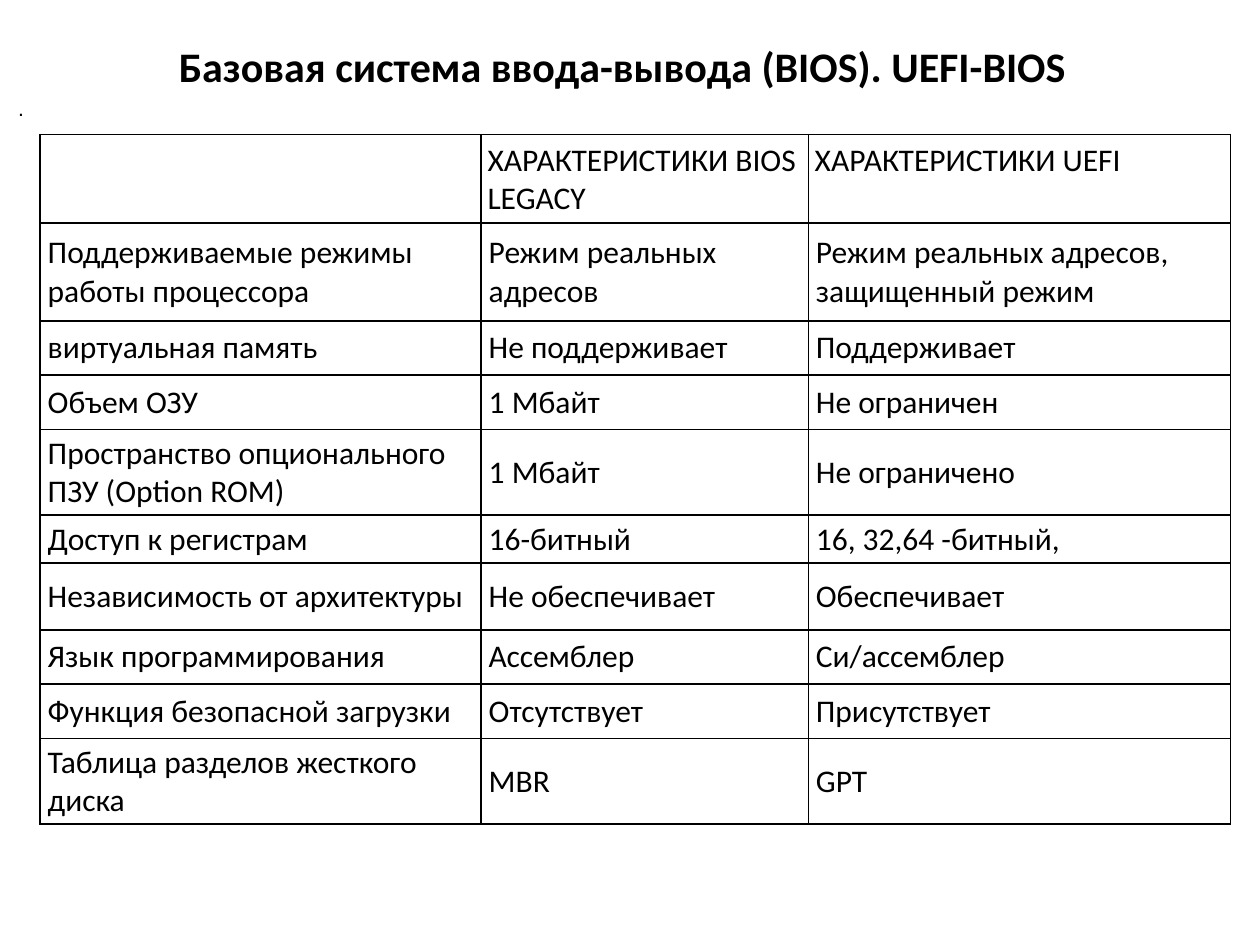
from lxml import etree
from pptx import Presentation
from pptx.dml.color import RGBColor
from pptx.enum.shapes import MSO_SHAPE
from pptx.enum.text import MSO_ANCHOR, MSO_AUTO_SIZE, PP_ALIGN
from pptx.oxml.ns import qn
from pptx.util import Pt

RECTANGLE = MSO_SHAPE.RECTANGLE
TOP, MIDDLE = MSO_ANCHOR.TOP, MSO_ANCHOR.MIDDLE
CENTER, JUSTIFY, LEFT = PP_ALIGN.CENTER, PP_ALIGN.JUSTIFY, PP_ALIGN.LEFT
GROW = MSO_AUTO_SIZE.SHAPE_TO_FIT_TEXT


def color(value):
    return RGBColor.from_string(value)


class SlideStyle:
    ink, paper = "000000", "FFFFFF"
    heading_font, mark_font = "Calibri", "Arial"
    border_width = 1

    def __init__(self, slide):
        self.slide = slide

    def set_text(self, frame, text, size, font, align=LEFT, bold=False):
        paragraph = frame.paragraphs[0]
        paragraph.text = text
        paragraph.alignment = align
        paragraph.font.size = Pt(size)
        paragraph.font.name = font
        paragraph.font.bold = bold
        paragraph.font.color.rgb = color(self.ink)

    def title(self, text, left, top, width, height):
        box = self.slide.shapes.add_textbox(Pt(left), Pt(top), Pt(width), Pt(height))
        box.text_frame.word_wrap = True
        box.text_frame.vertical_anchor = MIDDLE
        self.set_text(box.text_frame, text, 24, self.heading_font, CENTER, True)

    def strip(self, text, top, width):
        band = self.slide.shapes.add_shape(RECTANGLE, Pt(0), Pt(top), Pt(width), Pt(0))
        band.shadow.inherit = False
        band.fill.solid()
        band.fill.fore_color.rgb = color(self.paper)
        band.line.fill.background()
        frame = band.text_frame
        frame.word_wrap = False
        frame.auto_size = GROW
        frame.vertical_anchor = MIDDLE
        self.set_text(frame, text, 12, self.mark_font, JUSTIFY)

    def border(self, cell):
        properties = cell._tc.get_or_add_tcPr()
        for position, side in enumerate(("a:lnL", "a:lnR", "a:lnT", "a:lnB")):
            line = etree.Element(qn(side), w=str(Pt(self.border_width)))
            fill = etree.SubElement(line, qn("a:solidFill"))
            etree.SubElement(fill, qn("a:srgbClr"), val=self.ink)
            properties.insert(position, line)

    def cell(self, cell, text, anchor, side_margin, end_margin):
        cell.fill.solid()
        cell.fill.fore_color.rgb = color(self.paper)
        self.border(cell)
        cell.vertical_anchor = anchor
        cell.margin_left = cell.margin_right = Pt(side_margin)
        cell.margin_top = cell.margin_bottom = Pt(end_margin)
        self.set_text(cell.text_frame, text, 18, self.heading_font)

    def table(self, rows, left, top, widths, heights, full_height):
        holder = self.slide.shapes.add_table(
            len(rows), len(widths), Pt(left), Pt(top), Pt(sum(widths)), Pt(full_height))
        table = holder.table
        table.first_row = table.horz_banding = False
        for column, width in zip(table.columns, widths):
            column.width = Pt(width)
        for index, (texts, height) in enumerate(zip(rows, heights)):
            table.rows[index].height = Pt(height)
            layout = (MIDDLE, 4.3, 2.9) if index else (TOP, 3.6, 3.6)
            for column, text in enumerate(texts):
                self.cell(table.cell(index, column), text, *layout)
        holder.height = Pt(full_height)


COMPARISON = [
    ("", "ХАРАКТЕРИСТИКИ BIOS LEGACY", "ХАРАКТЕРИСТИКИ UEFI"),
    ("Поддерживаемые режимы работы процессора", "Режим реальных адресов",
     "Режим реальных адресов, защищенный режим"),
    ("виртуальная память", "Не поддерживает", "Поддерживает"),
    ("Объем ОЗУ", "1 Мбайт", "Не ограничен"),
    ("Пространство опционального ПЗУ (Option ROM)", "1 Мбайт", "Не ограничено"),
    ("Доступ к регистрам", "16-битный", "16, 32,64 -битный,"),
    ("Независимость от архитектуры", "Не обеспечивает", "Обеспечивает"),
    ("Язык программирования", "Ассемблер", "Си/ассемблер"),
    ("Функция безопасной загрузки", "Отсутствует", "Присутствует"),
    ("Таблица разделов жесткого диска", "MBR", "GPT"),
]
COLUMN_WIDTHS = [252, 187, 241.2]
ROW_HEIGHTS = [45.4, 56, 31, 31, 43.2, 13.7, 38.2, 31, 31, 31]


def main():
    presentation = Presentation()
    presentation.slide_width, presentation.slide_height = Pt(720), Pt(540)
    style = SlideStyle(presentation.slides.add_slide(presentation.slide_layouts[6]))

    # Heading
    style.title("Базовая система ввода-вывода (BIOS). UEFI-BIOS", 31.7, 21.6, 648, 31.7)

    # Thin strip under the heading
    style.strip(" .", 62, 720)

    # Comparison of BIOS and UEFI
    style.table(COMPARISON, 23, 77, COLUMN_WIDTHS, ROW_HEIGHTS, 391)

    presentation.save("out.pptx")


if __name__ == "__main__":
    main()
